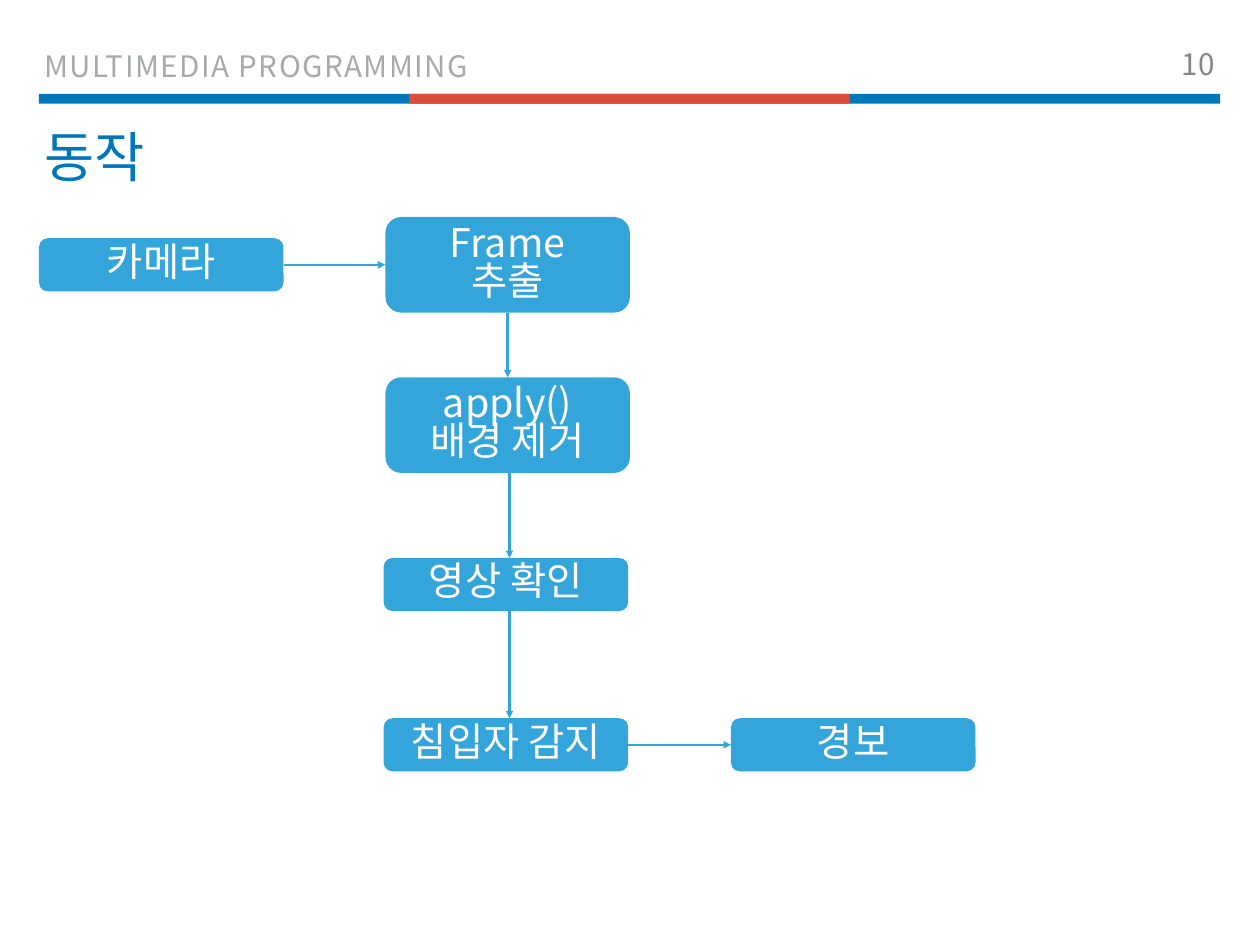
from lxml import etree
from pptx import Presentation
from pptx.dml.color import RGBColor
from pptx.enum.shapes import MSO_CONNECTOR, MSO_SHAPE
from pptx.enum.text import MSO_ANCHOR, MSO_AUTO_SIZE, PP_ALIGN
from pptx.oxml.ns import qn
from pptx.util import Inches, Pt

FONT = "Noto Sans CJK KR"
COLORS = {"title": "0077BB", "accent": "DC4E3C", "step": "34A5DA",
          "header": "A6AAA9", "number": "838787", "white": "FFFFFF"}
STEP_WIDTH, ONE_LINE, TWO_LINES = 2.76, 0.6, 1.08
STEPS = {
    "camera": ("카메라", (0.44, 2.69, STEP_WIDTH, ONE_LINE)),
    "frame": ("Frame\n추출", (4.35, 2.45, STEP_WIDTH, TWO_LINES)),
    "apply": ("apply()\n배경 제거", (4.35, 4.26, STEP_WIDTH, TWO_LINES)),
    "check": ("영상 확인", (4.33, 6.3, STEP_WIDTH, ONE_LINE)),
    "detect": ("침입자 감지", (4.33, 8.11, STEP_WIDTH, ONE_LINE)),
    "alarm": ("경보", (8.25, 8.11, STEP_WIDTH, ONE_LINE)),
}
ACROSS = [("camera", "frame"), ("detect", "alarm")]
DOWN = [("frame", "apply", 5.73), ("apply", "check", 5.75), ("check", "detect", 5.75)]


def rgb(name):
    """Return the named palette colour."""
    return RGBColor.from_string(COLORS[name])


def place(shape, box):
    """Move a shape to a box given in inches."""
    shape.left, shape.top, shape.width, shape.height = map(Inches, box)


def write(shape, text, size, color, align=PP_ALIGN.LEFT, anchor=MSO_ANCHOR.TOP,
          fit=MSO_AUTO_SIZE.SHAPE_TO_FIT_TEXT, spacing=0):
    """Fill a shape with text in the slide's common style."""
    frame = shape.text_frame
    frame.text = text
    frame.word_wrap, frame.auto_size, frame.vertical_anchor = True, fit, anchor
    frame.margin_left = frame.margin_right = Inches(0.06)
    frame.margin_top = frame.margin_bottom = Inches(0.06)
    for paragraph in frame.paragraphs:
        paragraph.alignment, paragraph.line_spacing = align, 0.8
        paragraph.space_before = Pt(0)
        font = paragraph.runs[0].font
        font.size, font.name, font.color.rgb = Pt(size), FONT, rgb(color)
        properties = paragraph.runs[0]._r.get_or_add_rPr()
        properties.set("spc", str(spacing))
        etree.SubElement(properties, qn("a:ea"), typeface=FONT)


def add_block(slide, kind, box, color):
    """Add a plain filled shape."""
    block = slide.shapes.add_shape(kind, *map(Inches, box))
    block.shadow.inherit = False
    block.fill.solid()
    block.fill.fore_color.rgb = rgb(color)
    block.line.fill.background()
    return block


def add_arrow(slide, start, end):
    """Add an arrow between two points in inches."""
    arrow = slide.shapes.add_connector(MSO_CONNECTOR.STRAIGHT, *map(Inches, start + end))
    arrow.line.color.rgb, arrow.line.width = rgb("step"), Pt(2)
    etree.SubElement(arrow.line._get_or_add_ln(), qn("a:tailEnd"), type="triangle")
    etree.SubElement(arrow._element.spPr, qn("a:effectLst"))


def add_header(slide, box):
    """Add the course name, page number and coloured rule."""
    left, top, width, height = box
    course = slide.placeholders[1]
    place(course, (left, top + 0.07, 12.22, 0.46))
    write(course, "MULTIMEDIA PROGRAMMING", 24, "header", anchor=MSO_ANCHOR.BOTTOM,
          spacing=120)
    properties = course.text_frame.paragraphs[0]._p.get_or_add_pPr()
    properties.set("marL", "0")
    properties.set("indent", "0")
    etree.SubElement(properties, qn("a:buNone"))

    rule, accent = 0.11, 4.97
    rule_top = top + height - rule
    add_block(slide, MSO_SHAPE.RECTANGLE, (left, rule_top, width, rule), "title")
    add_block(slide, MSO_SHAPE.RECTANGLE,
              (left + (width - accent) / 2, rule_top, accent, rule), "accent")

    number_width = 0.8
    number_box = (left + width - number_width, top + 0.07, number_width, 0.46)
    number = slide.shapes.add_textbox(*map(Inches, number_box))
    write(number, "10", 24, "number", PP_ALIGN.RIGHT, fit=MSO_AUTO_SIZE.NONE)


def add_title(slide, box):
    """Format the slide title."""
    place(slide.shapes.title, box)
    write(slide.shapes.title, "동작", 44.3, "title", fit=MSO_AUTO_SIZE.NONE)


def add_flow(slide):
    """Add the processing steps and the arrows joining them."""
    for text, box in STEPS.values():
        step = add_block(slide, MSO_SHAPE.ROUNDED_RECTANGLE, box, "step")
        write(step, text, 32, "white", PP_ALIGN.CENTER, MSO_ANCHOR.MIDDLE)
    for source, target in ACROSS:
        left, top, width, height = STEPS[source][1]
        middle = top + height / 2
        add_arrow(slide, (left + width, middle), (STEPS[target][1][0], middle))
    for source, target, x in DOWN:
        _, top, _, height = STEPS[source][1]
        add_arrow(slide, (x, top + height), (x, STEPS[target][1][1]))


def main():
    """Build and save the slide."""
    deck = Presentation()
    deck.slide_width, deck.slide_height = Inches(14.22), Inches(10.67)
    slide = deck.slides.add_slide(deck.slide_layouts[1])
    add_header(slide, (0.44, 0.47, 13.33, 0.7))
    add_title(slide, (0.44, 1.47, 13.33, 0.79))
    add_flow(slide)
    deck.save("out.pptx")


main()
